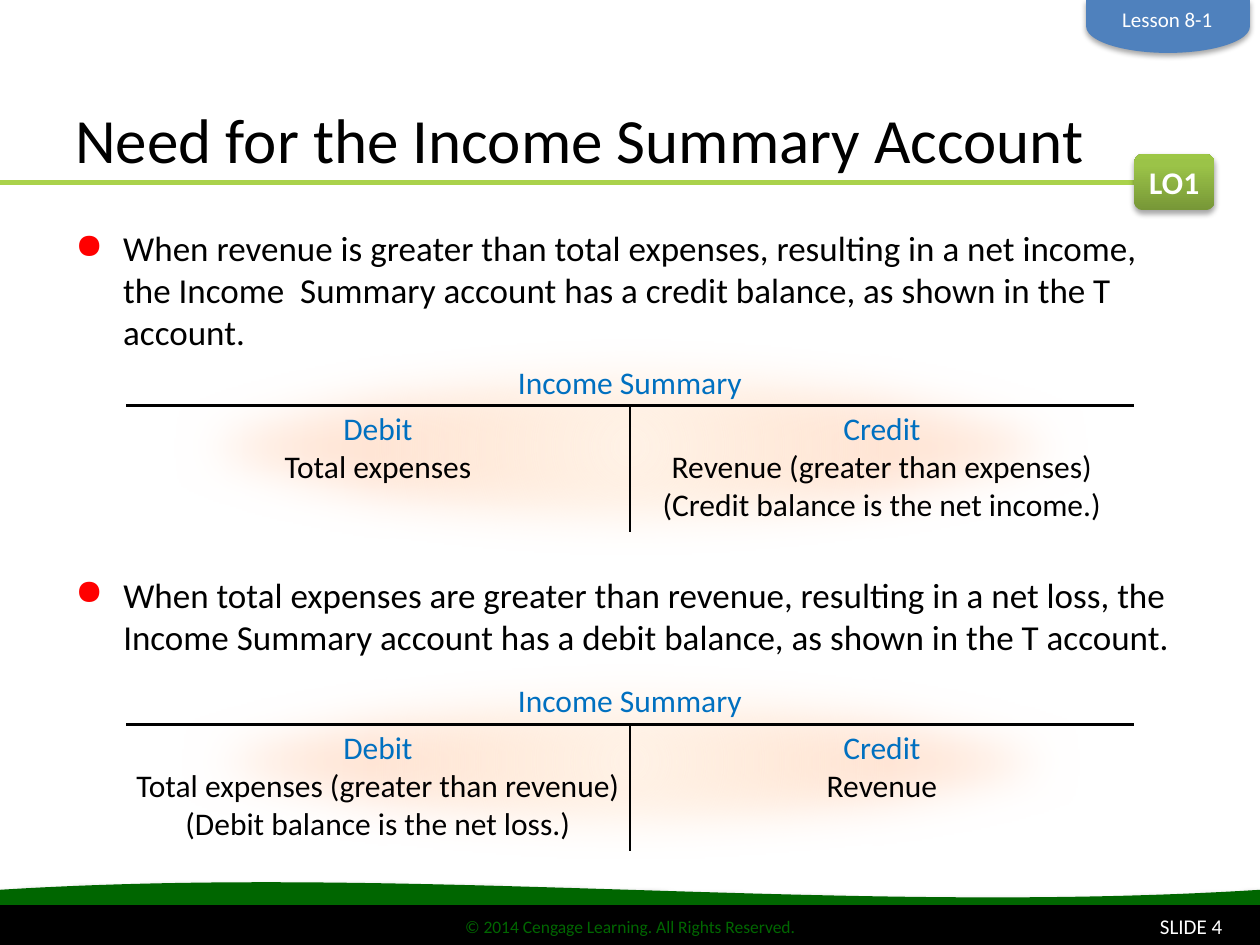
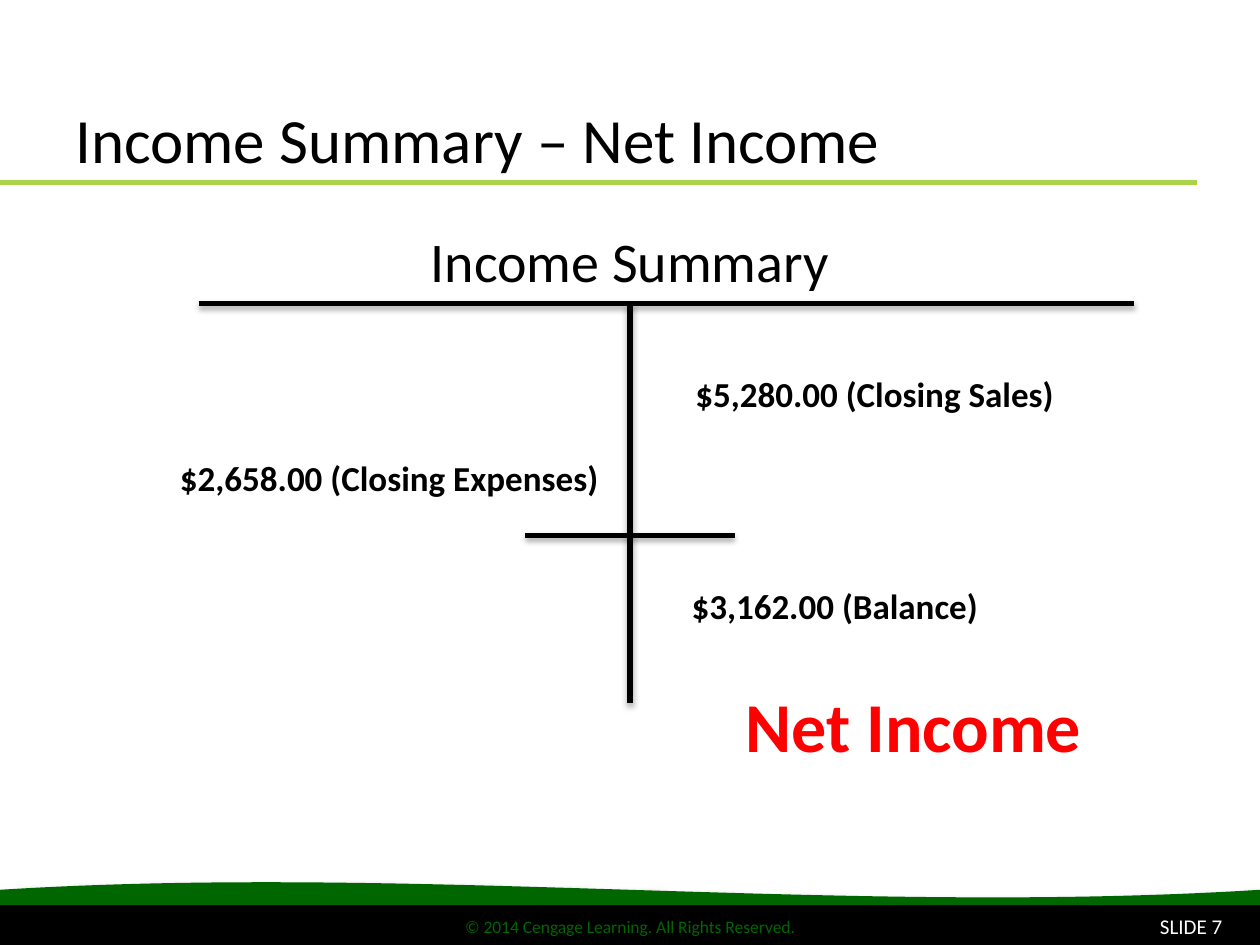
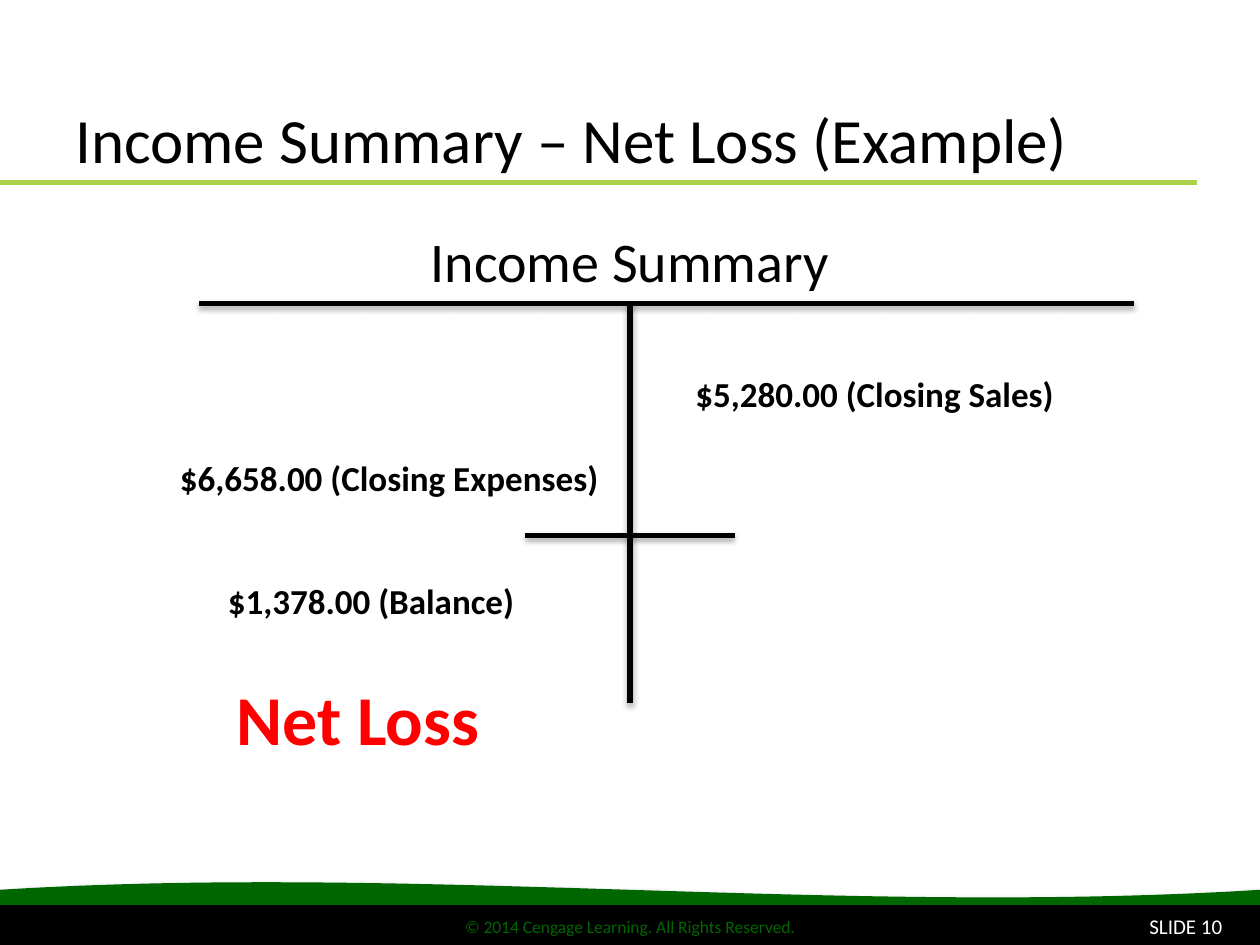
from pptx import Presentation
from pptx.dml.color import RGBColor
from pptx.enum.shapes import MSO_CONNECTOR, MSO_SHAPE
from pptx.enum.text import MSO_ANCHOR, PP_ALIGN
from pptx.oxml import parse_xml
from pptx.oxml.ns import nsdecls
from pptx.util import Inches, Pt

BLACK = RGBColor(0x00, 0x00, 0x00)
WHITE = RGBColor(0xFF, 0xFF, 0xFF)
GREEN = RGBColor(0x00, 0x66, 0x00)
LIME = RGBColor(0xAA, 0xD2, 0x4B)
BLUE = RGBColor(0x00, 0x70, 0xC0)
STEEL = RGBColor(0x4F, 0x81, 0xBD)
RED = RGBColor(0xFF, 0x00, 0x00)
FONT = "Calibri"
LEFT, CENTER, RIGHT = PP_ALIGN.LEFT, PP_ALIGN.CENTER, PP_ALIGN.RIGHT
TOP, MIDDLE, BOTTOM = MSO_ANCHOR.TOP, MSO_ANCHOR.MIDDLE, MSO_ANCHOR.BOTTOM
RECT, ROUND, OVAL = MSO_SHAPE.RECTANGLE, MSO_SHAPE.ROUNDED_RECTANGLE, MSO_SHAPE.OVAL
WAVE, DELAY = MSO_SHAPE.WAVE, MSO_SHAPE.FLOWCHART_DELAY
STRAIGHT = MSO_CONNECTOR.STRAIGHT
NS = nsdecls("a")

SHADE = ('<a:outerShdw blurRad="40000" dist="23000" dir="5400000" rotWithShape="0">'
         '<a:srgbClr val="000000"><a:alpha val="35000"/></a:srgbClr></a:outerShdw>')
SOFT = '<a:softEdge rad="317500"/>'
GLOW = [(0, "FFE5CD", 48), (50, "FFE5D5", 100), (100, "FFF2EA", 100)]
RADIAL = '<a:path path="circle"><a:fillToRect l="50000" t="50000" r="50000" b="50000"/></a:path>'
LEAF = [(0, "779737", 100), (80, "9BC348", 100), (100, "9DC746", 100)]
UPWARD = '<a:lin ang="16200000" scaled="0"/>'


def effect(item, inner=""):
    """Give a shape or connector only the effects listed."""
    props = item.element.spPr
    for old in props.findall("{*}effectLst"):
        props.remove(old)
    props.append(parse_xml(f"<a:effectLst {NS}>{inner}</a:effectLst>"))


def blend(item, stops, course):
    """Fill a shape with a gradient."""
    marks = "".join(
        f'<a:gs pos="{pos * 1000}"><a:srgbClr val="{tone}">'
        f'<a:alpha val="{alpha * 1000}"/></a:srgbClr></a:gs>'
        for pos, tone, alpha in stops)
    item.fill.background()
    props = item.element.spPr
    props.replace(props.find("{*}noFill"), parse_xml(
        f'<a:gradFill {NS} rotWithShape="1"><a:gsLst>{marks}</a:gsLst>{course}</a:gradFill>'))


def dot(par):
    """Give a paragraph a red bullet and a hanging indent."""
    props = par._p.get_or_add_pPr()
    props.set("marL", str(Inches(0.38)))
    props.set("indent", str(-Inches(0.38)))
    props.append(parse_xml(f'<a:buClr {NS}><a:srgbClr val="{RED}"/></a:buClr>'))
    props.append(parse_xml(f'<a:buChar {NS} char="●"/>'))


def write(item, lines, size, color=BLACK, bold=False, align=LEFT,
          anchor=TOP, wrap=True, inset=0.1, bullet=False):
    """Write one paragraph per line and return the text frame."""
    frame = item.text_frame
    frame.word_wrap = wrap
    frame.vertical_anchor = anchor
    frame.margin_left = frame.margin_right = Inches(inset)
    frame.text = "\n".join(lines)
    for par in frame.paragraphs:
        if bullet:
            dot(par)
        par.alignment = align
        par.font.name, par.font.size = FONT, Pt(size)
        par.font.color.rgb, par.font.bold = color, bold
    return frame


def label(slide, x, y, w, h, lines, size, **style):
    """Add a text box."""
    box = slide.shapes.add_textbox(Inches(x), Inches(y), Inches(w), Inches(h))
    return write(box, lines, size, **style)


def block(slide, kind, x, y, w, h, color=None, inner=""):
    """Add a borderless preset shape."""
    item = slide.shapes.add_shape(kind, Inches(x), Inches(y), Inches(w), Inches(h))
    if color is not None:
        item.fill.solid()
        item.fill.fore_color.rgb = color
    item.line.fill.background()
    item.shadow.inherit = False
    effect(item, inner)
    return item


def rule(slide, x1, y1, x2, y2, width, color=BLACK, inner=""):
    """Add a straight line."""
    line = slide.shapes.add_connector(
        STRAIGHT, Inches(x1), Inches(y1), Inches(x2), Inches(y2))
    line.line.color.rgb = color
    line.line.width = Pt(width)
    effect(line, inner)


def start(deck, title, number):
    """Add a slide with its title, lime rule and footer."""
    slide = deck.slides.add_slide(deck.slide_layouts[6])
    block(slide, WAVE, 0, 7, 10, 0.5, GREEN, SHADE)
    band = block(slide, RECT, 0, 7.2, 10, 0.3, BLACK)
    band.line.color.rgb = BLACK
    band.line.width = Pt(2)
    write(band, ["© 2014 Cengage Learning. All Rights Reserved."], 10,
          color=GREEN, align=CENTER, anchor=MIDDLE)
    rule(slide, 0, 1.45, 9.5, 1.45, 3, LIME)
    label(slide, 0.5, 0.2, 8.5, 1.25, [title], 36, anchor=BOTTOM)
    page = block(slide, RECT, 7.8, 7.2, 2, 0.3, BLACK)
    write(page, [f"SLIDE {number}"], 12, color=WHITE, align=RIGHT, anchor=MIDDLE)
    return slide


def account(slide, y, top, height, debit, credit):
    """Draw a glowing T account whose bar lies at y."""
    glow = block(slide, OVAL, 1, top, 8, height, inner=SOFT)
    blend(glow, GLOW, RADIAL)
    label(slide, 3.43, y - 0.39, 3.14, 0.4, ["Income Summary"], 18,
          color=BLUE, align=CENTER)
    rule(slide, 1, y, 9, y, 1.5)
    rule(slide, 5, y, 5, y + 1, 1.5)
    for x, head, lines in ((1, "Debit", debit), (5, "Credit", credit)):
        frame = label(slide, x, y - 0.02, 4, 1.01, [head, *lines], 18,
                      align=CENTER, inset=0.05)
        frame.paragraphs[0].font.color.rgb = BLUE


def badges(slide):
    """Add the goal and lesson badges."""
    goal = block(slide, ROUND, 9, 1.22, 0.64, 0.45, inner=SHADE)
    blend(goal, LEAF, UPWARD)
    write(goal, ["LO1"], 18, color=WHITE, bold=True, align=CENTER,
          anchor=MIDDLE, wrap=False)
    tab = block(slide, DELAY, 9.06, -0.44, 0.42, 1.3, STEEL, SHADE)
    tab.rotation = 90
    label(slide, 8.8, 0, 0.93, 0.3, ["Lesson 8-1"], 12, color=WHITE,
          align=CENTER, wrap=False)


def ledger(deck, title, number, cost, balance, result):
    """Add a slide with a large T account and its result."""
    slide = start(deck, title, number)
    label(slide, 0.5, 1.75, 9, 0.65, ["Income Summary"], 32, align=CENTER)
    for ends in ((1.58, 2.41, 9, 2.41), (5, 2.41, 5, 5.58), (4.17, 4.25, 5.83, 4.25)):
        rule(slide, *ends, 3, inner=SHADE)
    entries = ((5.42, 2.91, "$5,280.00 (Closing Sales)"),
               (1.33, 3.57, f"{cost} (Closing Expenses)"), balance)
    for x, y, text in entries:
        label(slide, x, y, 3.58, 0.44, [text], 20, bold=True)
    x, y, text = result
    label(slide, x, y, 2.93, 0.77, [text], 40, color=RED, bold=True)


def need(deck):
    """Add the slide that explains both balances."""
    slide = start(deck, "Need for the Income Summary Account", 4)
    account(slide, 5.75, 5.25, 1.58,
            ["Total expenses (greater than revenue)", "(Debit balance is the net loss.)"],
            ["Revenue"])
    account(slide, 3.22, 2.67, 1.75, ["Total expenses"],
            ["Revenue (greater than expenses)", "(Credit balance is the net income.)"])
    points = (
        (1.75, 9, 1.17,
         "When revenue is greater than total expenses, resulting in a net income, "
         "the Income  Summary account has a credit balance, as shown in the T account."),
        (4.5, 8.92, 0.92,
         "When total expenses are greater than revenue, resulting in a net loss, "
         "the Income Summary account has a debit balance, as shown in the T account."))
    for y, w, h, text in points:
        label(slide, 0.5, y, w, h, [text], 20, bullet=True)
    badges(slide)


def main():
    """Build and save the deck."""
    deck = Presentation()
    deck.slide_width, deck.slide_height = Inches(10), Inches(7.5)
    need(deck)
    ledger(deck, "Income Summary – Net Income", 7, "$2,658.00",
           (5.39, 4.59, "$3,162.00 (Balance)"), (5.82, 5.37, "Net Income"))
    ledger(deck, "Income Summary – Net Loss (Example)", 10, "$6,658.00",
           (1.71, 4.55, "$1,378.00 (Balance)"), (1.78, 5.31, "Net Loss"))
    deck.save("out.pptx")


if __name__ == "__main__":
    main()
